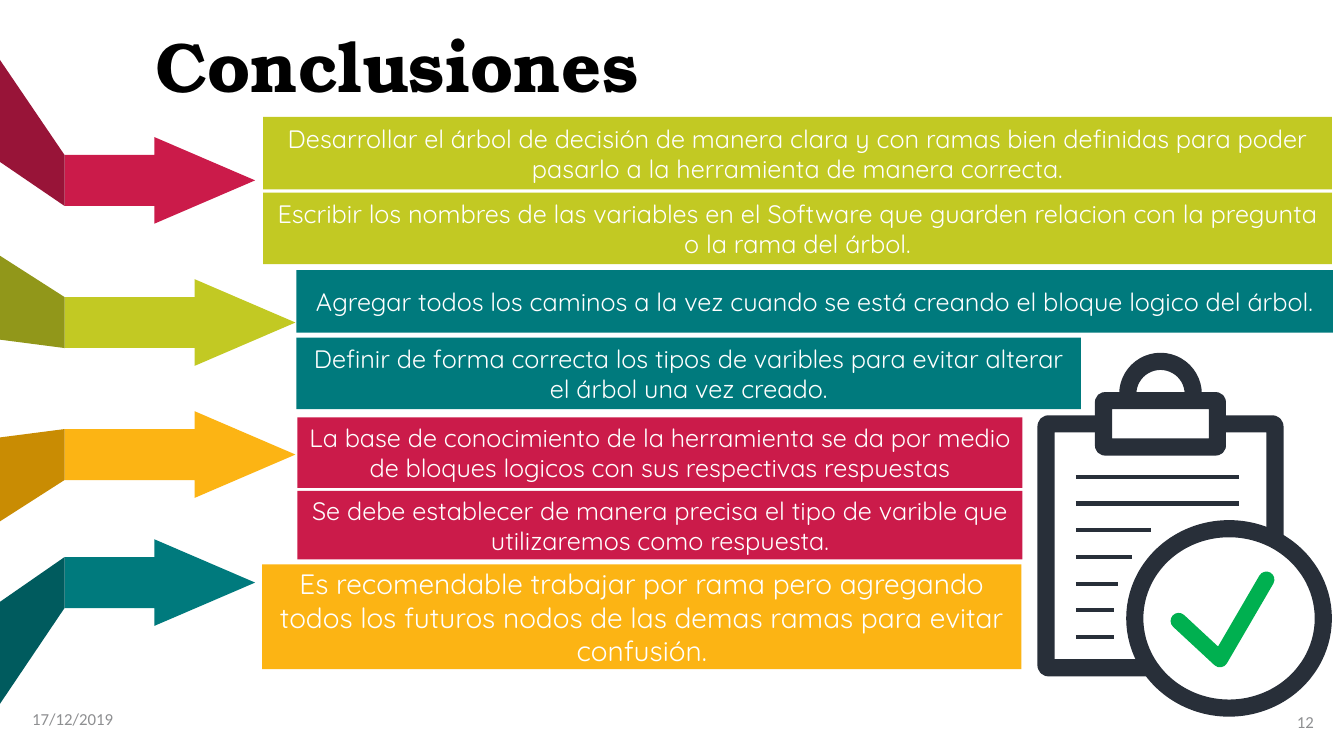
from lxml import etree
from pptx import Presentation
from pptx.dml.color import RGBColor
from pptx.enum import shapes, text
from pptx.oxml import ns
from pptx.util import Inches, Pt

COLORS = {
    "crimson": "CB1B4A", "crimson_dark": "981438",
    "lime": "C2C923", "lime_dark": "91971A",
    "amber": "FCB414", "amber_dark": "C98C03",
    "teal": "007A7D", "teal_dark": "005B5E",
    "ink": "282F39", "check": "00B050",
    "white": "FFFFFF", "black": "000000", "grey": "8E8F91",
}

# colour, arrow top, arrow width, ribbon left x, ribbon left top and bottom
ARROWS = [
    ("teal", 5.35, 1.89, -0.2, 6.11, 7.28),
    ("amber", 4.08, 2.29, -0.23, 4.37, 5.32),
    ("lime", 2.77, 2.29, -0.23, 2.39, 3.34),
    ("crimson", 1.36, 1.89, -0.2, 0.3, 1.47),
]

# colour, box, text size, wording
CONCLUSIONS = [
    ("lime", (2.61, 1.16, 10.6, 0.72), 18,
     "Desarrollar el árbol de decisión de manera clara y con ramas bien definidas "
     "para poder pasarlo a la herramienta de manera correcta."),
    ("lime", (2.61, 1.91, 10.6, 0.71), 18,
     "Escribir los nombres de las variables en el Software que guarden relacion "
     "con la pregunta o la rama del árbol."),
    ("teal", (2.94, 2.68, 10.28, 0.62), 18,
     "Agregar todos los caminos a la vez cuando se está creando el bloque logico del árbol."),
    ("teal", (2.94, 3.35, 7.78, 0.71), 18,
     "Definir de forma correcta los tipos de varibles para evitar alterar "
     "el árbol una vez creado."),
    ("crimson", (2.95, 4.14, 7.19, 0.7), 18,
     "La base de conocimiento de la herramienta se da por medio de bloques logicos "
     "con sus respectivas respuestas"),
    ("crimson", (2.95, 4.87, 7.19, 0.68), 18,
     "Se debe establecer de manera precisa el tipo de varible que utilizaremos como respuesta."),
    ("amber", (2.6, 5.6, 7.53, 1.04), 20,
     "Es recomendable trabajar por rama pero agregando todos los futuros nodos "
     "de las demas ramas para evitar confusión."),
]


def rgb(name):
    return RGBColor.from_string(COLORS[name])


def paint(shape, fill=None, outline=None, width=0):
    shape.shadow.inherit = False
    if fill:
        shape.fill.solid()
        shape.fill.fore_color.rgb = rgb(fill)
    else:
        shape.fill.background()
    if outline:
        shape.line.color.rgb = rgb(outline)
        shape.line.width = Inches(width)
    else:
        shape.line.fill.background()


def add_preset(slide, kind, box, **style):
    shape = slide.shapes.add_shape(kind, *map(Inches, box))
    paint(shape, **style)
    return shape


def add_path(slide, points, close, **style):
    start, *rest = [(Inches(x), Inches(y)) for x, y in points]
    builder = slide.shapes.build_freeform(*start, scale=1.0)
    builder.add_line_segments(rest, close=close)
    shape = builder.convert_to_shape()
    paint(shape, **style)
    return shape


def write(shape, wording, font, size, color, align, bold=False):
    frame = shape.text_frame
    frame.word_wrap = True
    frame.auto_size = text.MSO_AUTO_SIZE.NONE
    frame.vertical_anchor = text.MSO_ANCHOR.MIDDLE
    frame.text = wording
    paragraph = frame.paragraphs[0]
    paragraph.alignment = align
    run_font = paragraph.runs[0].font
    run_font.name, run_font.size, run_font.bold = font, Pt(size), bold
    run_font.color.rgb = rgb(color)


def add_title(slide, box):
    title = slide.shapes.title
    title.left, title.top, title.width, title.height = map(Inches, box)
    write(title, "Conclusiones", "TeX Gyre Bonum", 50, "black", text.PP_ALIGN.LEFT, True)


def add_arrow(slide, color, top, width, ribbon_left, ribbon_top, ribbon_bottom):
    """Arrow whose shaft continues in a darker ribbon folded to the slide edge."""
    left, height, shaft = 0.64, 0.86, 0.588
    arrow = add_preset(slide, shapes.MSO_SHAPE.RIGHT_ARROW,
                       (left, top, width, height), fill=color)
    arrow.adjustments[0], arrow.adjustments[1] = shaft, 1.163
    middle, half = top + height / 2, shaft * height / 2
    add_path(slide, [(ribbon_left, ribbon_top), (left, middle - half),
                     (left, middle + half), (ribbon_left, ribbon_bottom)],
             True, fill=color + "_dark")


def add_conclusion(slide, color, box, size, wording):
    bar = add_preset(slide, shapes.MSO_SHAPE.RECTANGLE, box, fill=color)
    write(bar, wording, "Quicksand", size, "white", text.PP_ALIGN.CENTER)


def add_clipboard(slide, left, top):
    """Clipboard with written lines and a check mark in a circle."""
    stroke = 0.17

    def part(kind, x, y, width, height, corner=None):
        inset = stroke / 2
        shape = add_preset(slide, kind, (left + x + inset, top + y + inset,
                                         width - stroke, height - stroke),
                           fill="white", outline="ink", width=stroke)
        if corner is not None:
            shape.adjustments[0] = corner

    # Board, ring and clip
    part(shapes.MSO_SHAPE.ROUNDED_RECTANGLE, 0, 0.62, 2.44, 2.59, 0.01)
    part(shapes.MSO_SHAPE.OVAL, 0.81, 0, 0.82, 0.82)
    part(shapes.MSO_SHAPE.ROUNDED_RECTANGLE, 0.57, 0.39, 1.3, 0.63, 0.03)

    # Written lines
    for row, length in enumerate([1.62, 1.62, 0.75, 0.56, 0.42, 0.38, 0.38]):
        x, y = left + 0.38, top + 1.23 + row * 0.265
        line = slide.shapes.add_connector(
            shapes.MSO_CONNECTOR.STRAIGHT,
            Inches(x), Inches(y), Inches(x + length), Inches(y))
        line.line.color.rgb = rgb("ink")
        line.line.width = Pt(3)
        etree.SubElement(line._element.spPr, ns.qn("a:effectLst"))

    # Circle and check mark
    part(shapes.MSO_SHAPE.OVAL, 0.88, 1.66, 2.04, 1.95)
    check = add_path(slide, [(left + x, top + y) for x, y in
                             [(1.4, 2.66), (1.81, 3.04), (2.27, 2.25)]],
                     False, outline="check", width=0.16)
    outline = check.line._get_or_add_ln()
    outline.set("cap", "rnd")
    etree.SubElement(outline, ns.qn("a:round"))


def add_footer(slide, box, wording, align):
    footer = slide.shapes.add_textbox(*map(Inches, box))
    write(footer, wording, "Calibri", 12, "grey", align)


def main():
    deck = Presentation()
    deck.slide_width, deck.slide_height = Inches(13.33), Inches(7.5)
    slide = deck.slides.add_slide(deck.slide_layouts.get_by_name("Title Only"))

    add_title(slide, (1.44, 0.17, 11.77, 0.94))
    for arrow in ARROWS:
        add_arrow(slide, *arrow)
    for conclusion in CONCLUSIONS:
        add_conclusion(slide, *conclusion)
    add_clipboard(slide, 10.29, 3.5)
    add_footer(slide, (0.22, 6.93, 3, 0.4), "17/12/2019", text.PP_ALIGN.LEFT)
    add_footer(slide, (10.13, 6.96, 3, 0.4), "12", text.PP_ALIGN.RIGHT)

    deck.save("out.pptx")


if __name__ == "__main__":
    main()
